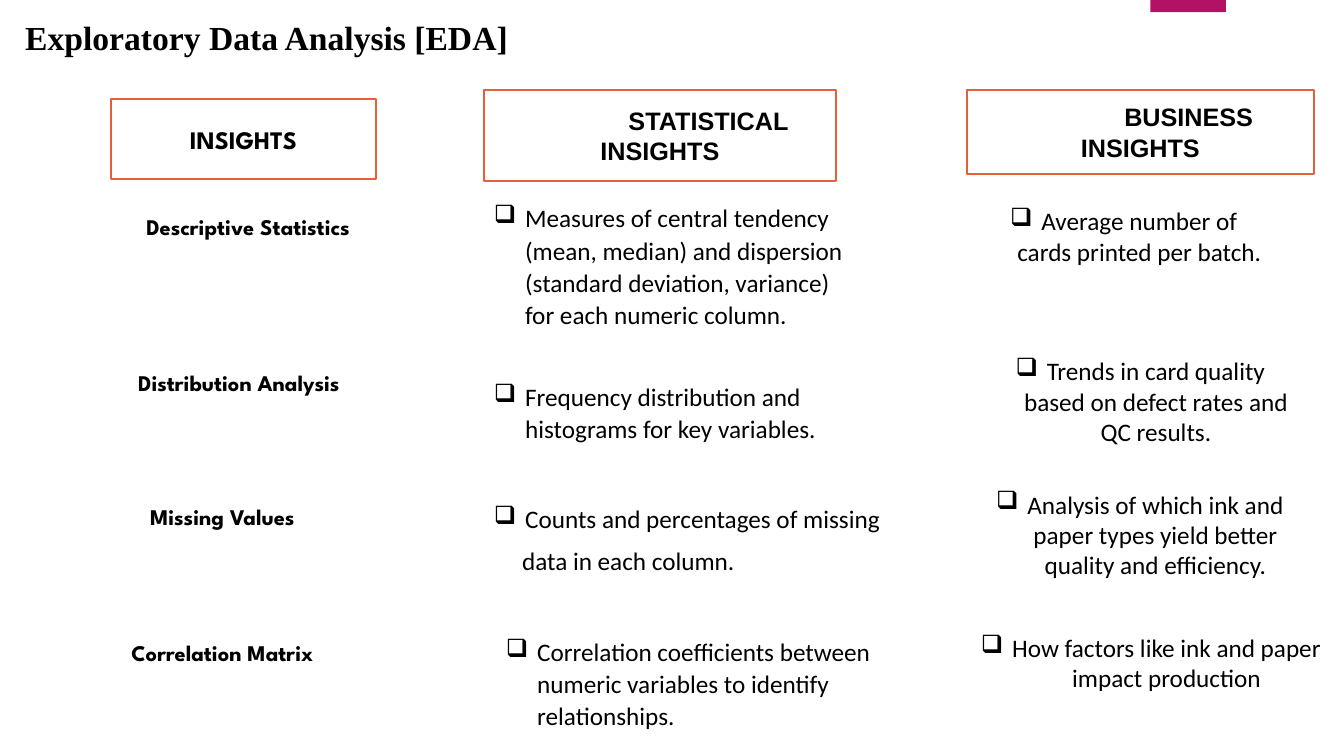
"""Build the exploratory data analysis slide with its three insight columns."""
import lxml.etree
import pptx
import pptx.dml.color
import pptx.enum.shapes
import pptx.enum.text
import pptx.oxml.ns
import pptx.util

Inches, Pt = pptx.util.Inches, pptx.util.Pt
ALIGN = pptx.enum.text.PP_ALIGN
ANCHOR = pptx.enum.text.MSO_ANCHOR
RECT = pptx.enum.shapes.MSO_SHAPE.RECTANGLE


def paint(fill, color):
    fill.solid()
    fill.fore_color.rgb = pptx.dml.color.RGBColor.from_string(color)


def write(p, text, size=18, font="Calibri", bold=False, align=ALIGN.CENTER,
          left=0, first=0, bullet=False, spacing=None, after=0):
    pPr = p._p.get_or_add_pPr()
    pPr.set("marL", str(Inches(left)))
    pPr.set("indent", str(Inches(first)))
    tag = "a:buChar" if bullet else "a:buNone"
    bu = lxml.etree.SubElement(pPr, pptx.oxml.ns.qn(tag))
    if bullet:
        bu.set("char", "❑")
    p.alignment = align
    p.space_before, p.space_after = Pt(0), Pt(after)
    if spacing:
        p.line_spacing = spacing
    r = p.add_run()
    r.text = text
    r.font.name, r.font.size, r.font.bold = font, Pt(size), bold
    paint(r.font.fill, "000000")


prs = pptx.Presentation()
prs.slide_width, prs.slide_height = Inches(13.33), Inches(7.5)
s = prs.slides.add_slide(prs.slide_layouts[5])

title = s.shapes.title
title.left, title.top = Inches(0.03), Inches(0.12)
title.width, title.height = Inches(13.19), Inches(0.6)
tf = title.text_frame
tf.word_wrap = True
tf.auto_size = pptx.enum.text.MSO_AUTO_SIZE.NONE
tf.vertical_anchor = ANCHOR.TOP
write(tf.paragraphs[0], "Exploratory Data Analysis [EDA]", size=24,
      font="Times New Roman", bold=True, align=ALIGN.LEFT, left=0.12)

tab = s.shapes.add_shape(RECT, Inches(11.41), 0, Inches(0.75), Inches(0.12))
tab.shadow.inherit = False
paint(tab.fill, "B31166")
tab.line.fill.background()

label = dict(size=16, font="League Spartan", bold=True)
header = dict(font="Arial", bold=True, first=0.96)
point = dict(bullet=True, first=-0.31, align=ALIGN.LEFT, left=0.81,
             spacing=1.07, after=8)
business = dict(bullet=True, first=-0.31, left=0.47)
business_narrow = business | dict(left=0.31)

headers = [
    (1.1, 0.98, 2.63, 0.8, [("INSIGHTS", label | dict(size=18))]),
    (4.8, 0.89, 3.49, 0.91, [("STATISTICAL INSIGHTS", header)]),
    (9.59, 0.89, 3.44, 0.84, [("BUSINESS INSIGHTS", header)]),
]
cells = [
    (1.1, 2, 2.72, 0.5, [("Descriptive Statistics", label)]),
    (4.8, 2.06, 3.86, 1.14, [
        ("Measures of central tendency (mean, median) and dispersion "
         "(standard deviation, variance) for each numeric column.",
         point | dict(left=0.31, after=0))]),
    (9.51, 1.77, 3.11, 1.14, [
        ("Average number of cards printed per batch.", business)]),
    (1.09, 3.55, 2.56, 0.5, [("Distribution Analysis", label)]),
    (4.3, 3.64, 3.89, 0.88, [
        ("Frequency distribution and histograms for key variables.", point)]),
    (9.51, 3.41, 3.44, 1.14, [
        ("Trends in card quality based on defect rates and QC results.",
         business)]),
    (1.05, 4.87, 2.31, 0.5, [("Missing Values", label)]),
    (4.3, 4.91, 4.91, 0.88, [
        ("Counts and percentages of missing", point | dict(spacing=1.0)),
        ("data in each column.",
         dict(align=ALIGN.LEFT, left=0.78, after=8))]),
    (9.72, 4.73, 3.17, 1.14, [
        ("Analysis of which ink and paper types yield better quality and "
         "efficiency.", business_narrow)]),
    (1.05, 6.22, 2.31, 0.51, [("Correlation Matrix", label)]),
    (4.42, 6.3, 4.42, 0.94, [
        ("Correlation coefficients between numeric variables to identify "
         "relationships.", point)]),
    (9.63, 6.03, 3.57, 1.09, [
        ("How factors like ink and paper impact production",
         business_narrow)]),
]

for box in headers + cells:
    *place, paragraphs = box
    sp = s.shapes.add_shape(RECT, *map(Inches, place))
    sp.shadow.inherit = False
    paint(sp.fill, "FFFFFF")
    if box in headers:
        paint(sp.line.fill, "E45F3C")
        sp.line.width = Pt(1.5)
    else:
        sp.line.fill.background()
    tf = sp.text_frame
    tf.word_wrap = True
    tf.vertical_anchor = ANCHOR.MIDDLE
    for i, (text, style) in enumerate(paragraphs):
        p = tf.add_paragraph() if i else tf.paragraphs[0]
        write(p, text, **style)

prs.save("out.pptx")
